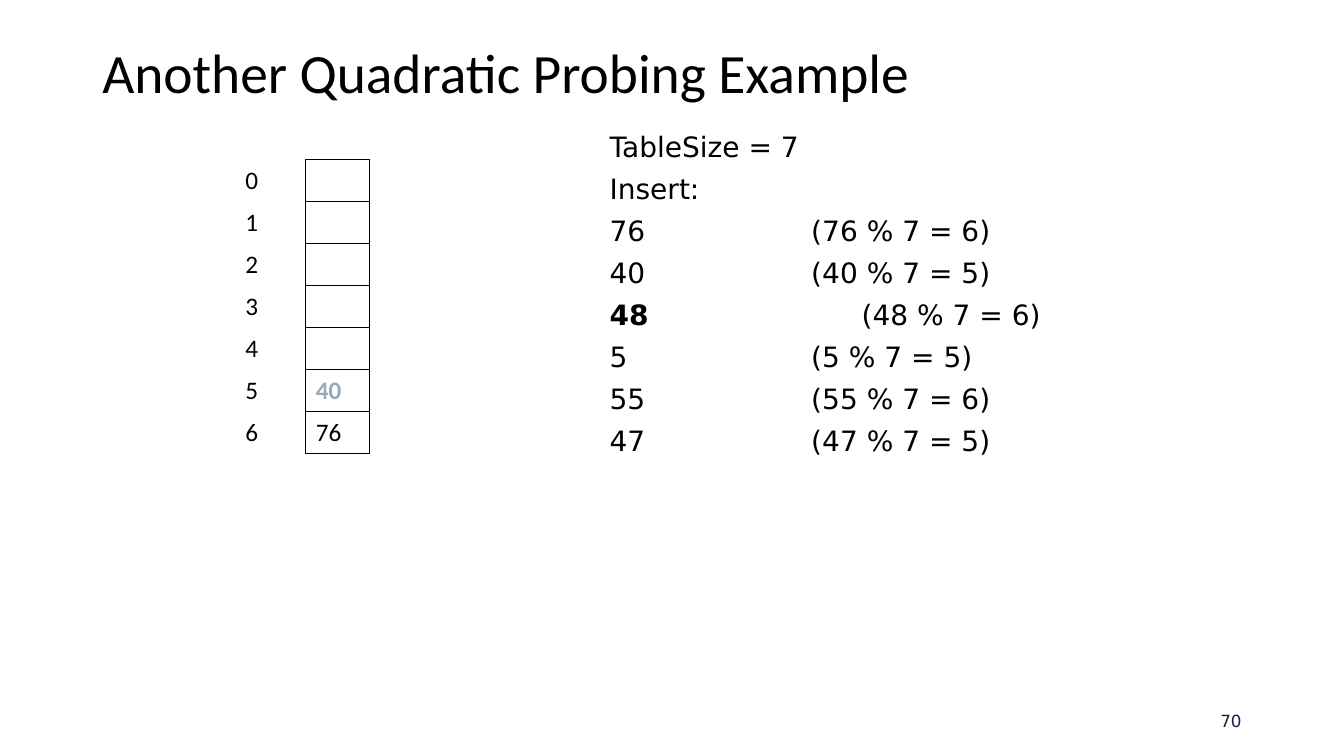
import pptx
import pptx.util
import pptx.dml.color
import pptx.enum.text
import pptx.oxml
import pptx.oxml.ns
from dataclasses import dataclass

Pt = pptx.util.Pt
qn = pptx.oxml.ns.qn
Align = pptx.enum.text.PP_ALIGN
Anchor = pptx.enum.text.MSO_ANCHOR


@dataclass(frozen=True)
class Theme:
    head: str = "Calibri"
    body: str = "DejaVu Sans"
    ink: str = "000000"
    faded: str = "99A8BD"
    plum: str = "2F1343"
    title: float = 39.6
    text: float = 20
    cell: float = 18
    foot: float = 12


class Deck:
    """Lengths are cells of a grid of 160 columns by 90 rows."""

    def __init__(self, theme):
        self.theme = theme
        self.prs = pptx.Presentation()
        self.prs.slide_width = self.unit(160)
        self.prs.slide_height = self.unit(90)
        self.slide = self.prs.slides.add_slide(self.prs.slide_layouts[6])

    def unit(self, n):
        return pptx.util.Inches(n / 12)

    def font(self, para, face, size, color, bold=False):
        font = para.font
        font.name, font.size, font.bold = face, Pt(size), bold
        font.color.rgb = pptx.dml.color.RGBColor.from_string(color)

    def box(self, x, y, w, h, anchor=Anchor.MIDDLE):
        shape = self.slide.shapes.add_textbox(*map(self.unit, (x, y, w, h)))
        frame = shape.text_frame
        frame.word_wrap = True
        frame.vertical_anchor = anchor
        return frame

    def line(self, area, text, face, size, color, align=Align.LEFT):
        para = self.box(*area).paragraphs[0]
        para.text, para.alignment = text, align
        self.font(para, face, size, color)
        return para

    def tab(self, para, inches):
        props = para._p.get_or_add_pPr()
        stops = props.makeelement(qn("a:tabLst"), {})
        pos = str(pptx.util.Inches(inches))
        stops.append(stops.makeelement(qn("a:tab"), {"pos": pos, "algn": "l"}))
        props.append(stops)

    def steps(self, area, rows, current):
        frame = self.box(*area, anchor=Anchor.TOP)
        for i, (key, note) in enumerate(rows):
            para = frame.add_paragraph() if i else frame.paragraphs[0]
            if i:
                para.space_before = Pt(6)
            run = para.add_run()
            run.text = key
            if note:
                para.add_run().text = "\t" + note
                # The current key's note is set further in
                self.tab(para, 2.5 if key == current else 2)
            self.font(para, self.theme.body, self.theme.text, self.theme.ink)
            if key == current:
                run.font.bold = True

    def edges(self, cell, sides):
        props = cell._tc.get_or_add_tcPr()
        for i, side in enumerate("LRTB"):
            edge = props.makeelement(qn("a:ln" + side), {"w": str(Pt(1))})
            kind = "a:solidFill" if side in sides else "a:noFill"
            fill = edge.makeelement(qn(kind), {})
            if side in sides:
                color = {"val": self.theme.ink}
                fill.append(fill.makeelement(qn("a:srgbClr"), color))
            edge.append(fill)
            props.insert(i, edge)

    def slots(self, x, y, widths, height, values, faded):
        count = len(values)
        area = map(self.unit, (x, y, sum(widths), height * count))
        table = self.slide.shapes.add_table(count, 2, *area).table
        table.first_row = table.horz_banding = False
        for col, width in zip(table.columns, widths):
            col.width = self.unit(width)
        for i, value in enumerate(values):
            table.rows[i].height = self.unit(height)
            for j, text in enumerate((str(i), value)):
                cell = table.cell(i, j)
                cell.fill.background()
                cell.vertical_anchor = Anchor.MIDDLE
                self.edges(cell, "LRTB" if j else "R")
                para = cell.text_frame.paragraphs[0]
                para.text = text
                dim = j == 1 and text == faded
                color = self.theme.faded if dim else self.theme.ink
                self.font(para, self.theme.head, self.theme.cell, color, dim)


def main():
    look = Theme()
    deck = Deck(look)

    # Title
    title = deck.line((11, 4.8, 138, 8.4), "Another Quadratic Probing Example",
                      look.head, look.title, look.ink)
    title.line_spacing = 0.9

    # Slide number
    deck.line((113, 83.4, 36, 4.8), "70", look.body, look.foot, look.plum,
              Align.RIGHT)

    # Hash table with its indexes
    deck.slots(28, 19, (8.4, 7.6), 5, [""] * 5 + ["40", "76"], faded="40")

    # Keys to insert, each with its home slot
    size = 7
    keys = (76, 40, 48, 5, 55, 47)
    rows = [(f"TableSize = {size}", ""), ("Insert:", "")]
    rows += [(str(k), f"({k} % {size} = {k % size})") for k in keys]
    deck.steps((71.4, 14.8, 57.8, 55.7), rows, current="48")

    deck.prs.save("out.pptx")


if __name__ == "__main__":
    main()
